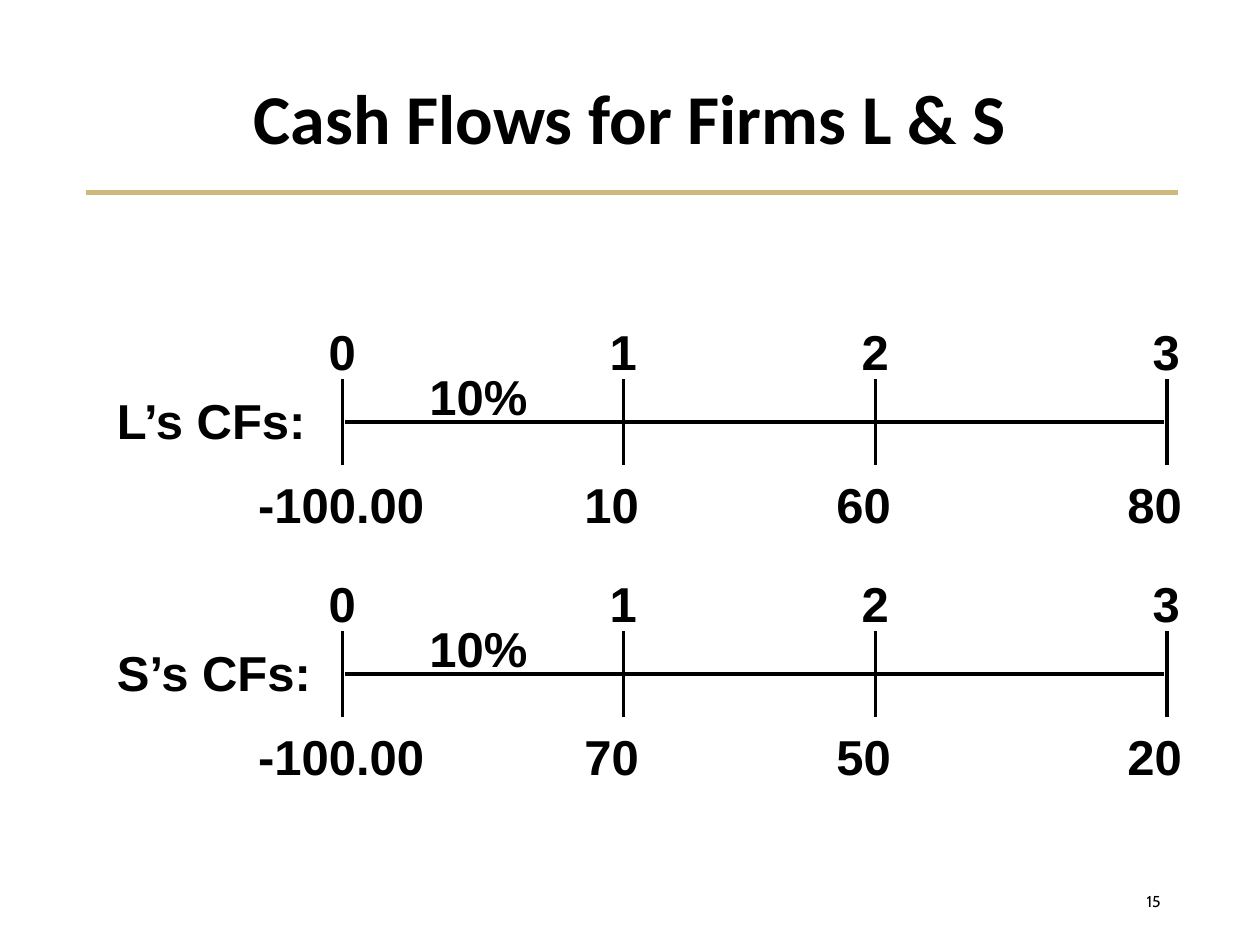
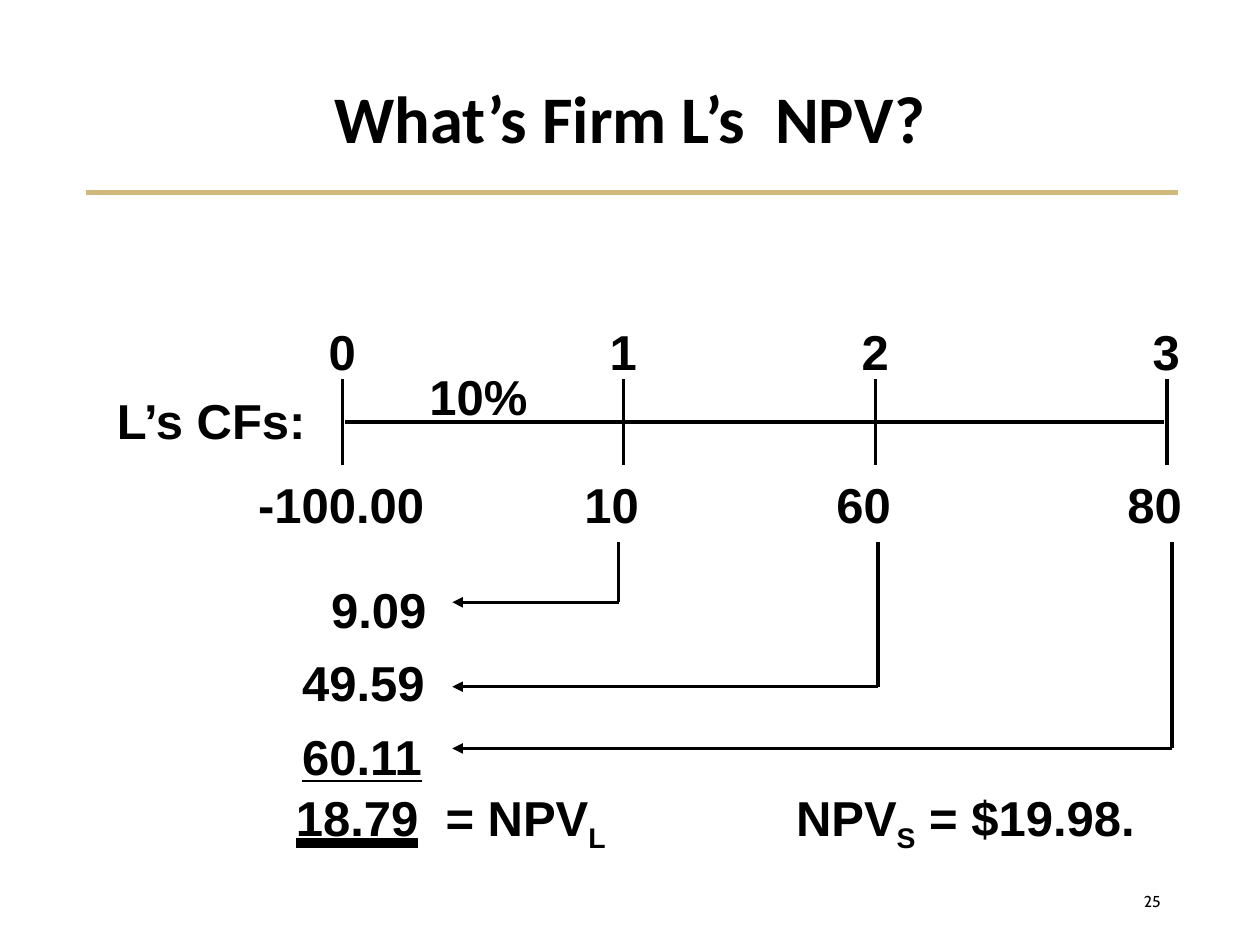
from pptx import Presentation
from pptx.dml.color import RGBColor
from pptx.enum.shapes import MSO_CONNECTOR
from pptx.enum.text import MSO_ANCHOR, MSO_AUTO_SIZE, PP_ALIGN
from pptx.oxml.ns import qn
from pptx.util import Inches, Pt
from lxml.etree import SubElement

BLACK = RGBColor(0x00, 0x00, 0x00)
GOLD = RGBColor(0xCF, 0xB8, 0x7C)
TITLE_FONT, BODY_FONT, NUMBER_FONT = "Calibri", "Arial", "Cabin"

YEAR_X = [2.72, 4.95, 6.95, 9.26]
FIRM_L_FLOWS = ["-100.00", "10", "60", "80"]
FIRM_S_FLOWS = ["-100.00", "70", "50", "20"]
LABEL_HEIGHT = 0.56


class Deck:
    """Holds the shared style and the slide being built."""

    def __init__(self):
        self.prs = Presentation()
        self.prs.slide_width, self.prs.slide_height = Inches(10), Inches(7.5)
        self.slide = None

    def style(self, run, font, size, bold=True):
        run.font.name, run.font.size, run.font.bold = font, Pt(size), bold
        run.font.color.rgb = BLACK

    def new_slide(self, heading, number, heading_size):
        self.slide = self.prs.slides.add_slide(self.prs.slide_layouts[5])
        self.line(0.68, 1.53, 9.35, 1.53, GOLD, 3)

        # Title
        title = self.slide.shapes.title
        title.left, title.top = Inches(0.69), Inches(0.4)
        title.width, title.height = Inches(8.62), Inches(1.13)
        frame = title.text_frame
        frame.text = heading
        frame.auto_size = MSO_AUTO_SIZE.NONE
        frame.vertical_anchor = MSO_ANCHOR.MIDDLE
        frame.paragraphs[0].alignment = PP_ALIGN.CENTER
        frame.paragraphs[0].line_spacing = 0.9
        self.style(frame.paragraphs[0].runs[0], TITLE_FONT, heading_size)

        # Slide number
        page = self.slide.shapes.add_textbox(
            Inches(7.06), Inches(6.95), Inches(2.25), Inches(0.4)).text_frame
        page.text = str(number)
        page.word_wrap = True
        page.vertical_anchor = MSO_ANCHOR.MIDDLE
        page.paragraphs[0].alignment = PP_ALIGN.RIGHT
        self.style(page.paragraphs[0].runs[0], NUMBER_FONT, 9, bold=False)

    def line(self, x1, y1, x2, y2, color=BLACK, weight=2, arrow=False):
        connector = self.slide.shapes.add_connector(
            MSO_CONNECTOR.STRAIGHT, Inches(x1), Inches(y1), Inches(x2), Inches(y2))
        connector.line.color.rgb = color
        connector.line.width = Pt(weight)
        if arrow:
            SubElement(connector.line._get_or_add_ln(), qn("a:tailEnd"), type="triangle")
        SubElement(connector._element.spPr, qn("a:effectLst"))

    def label(self, x, y, width, *parts, underline=None):
        """Every second part is set as a subscript."""
        box = self.slide.shapes.add_textbox(
            Inches(x), Inches(y), Inches(width), Inches(LABEL_HEIGHT))
        frame = box.text_frame
        frame.word_wrap = False
        frame.auto_size = MSO_AUTO_SIZE.SHAPE_TO_FIT_TEXT
        for index, part in enumerate(parts):
            run = frame.paragraphs[0].add_run()
            run.text = part
            self.style(run, BODY_FONT, 28)
            run.font.underline = underline
            if index % 2:
                run.font._element.set("baseline", "-25000")

    def timeline(self, top, name, name_width, flows):
        axis_y = top + 0.85
        self.line(YEAR_X[0] + 0.02, axis_y, YEAR_X[-1] - 0.02, axis_y)
        for year, (x, flow) in enumerate(zip(YEAR_X, flows)):
            self.line(x, axis_y - 0.34, x, axis_y + 0.34)
            self.label(x - 0.21, top, 0.41, str(year))
            offset, width = (0.41, 0.63) if year else (0.77, 1.52)
            self.label(x - offset, top + 1.22, width, flow)
        self.label(3.31, top + 0.36, 0.98, "10%")
        self.label(0.83, top + 0.55, name_width, name)

    def discount_path(self, x, y):
        self.line(x, 4.3, x, y)
        self.line(x, y, 3.59, y, arrow=True)


def main():
    deck = Deck()

    # Cash flows of both firms
    deck.new_slide("Cash Flows for Firms L & S", 15, 40)
    deck.timeline(2.5, "L’s CFs:", 1.73, FIRM_L_FLOWS)
    deck.timeline(4.5, "S’s CFs:", 1.76, FIRM_S_FLOWS)

    # Net present value of firm L
    deck.new_slide("What’s Firm L’s  NPV?", 25, 38)
    deck.timeline(2.5, "L’s CFs:", 1.73, FIRM_L_FLOWS)
    for x, y in [(4.91, 4.78), (6.97, 5.45), (9.3, 5.94)]:
        deck.discount_path(x, y)

    # Present values and their sum
    deck.label(2.53, 4.55, 0.96, "9.09")
    deck.label(2.3, 5.13, 1.17, "49.59")
    deck.label(2.3, 5.72, 1.17, "60.11", underline=True)
    deck.label(2.25, 6.2, 2.68, "18.79  = NPV", "L")
    deck.line(2.35, 6.69, 3.32, 6.69, weight=6)
    deck.label(6.22, 6.2, 2.91, "NPV", "S", " = $19.98.")

    deck.prs.save("out.pptx")


if __name__ == "__main__":
    main()
